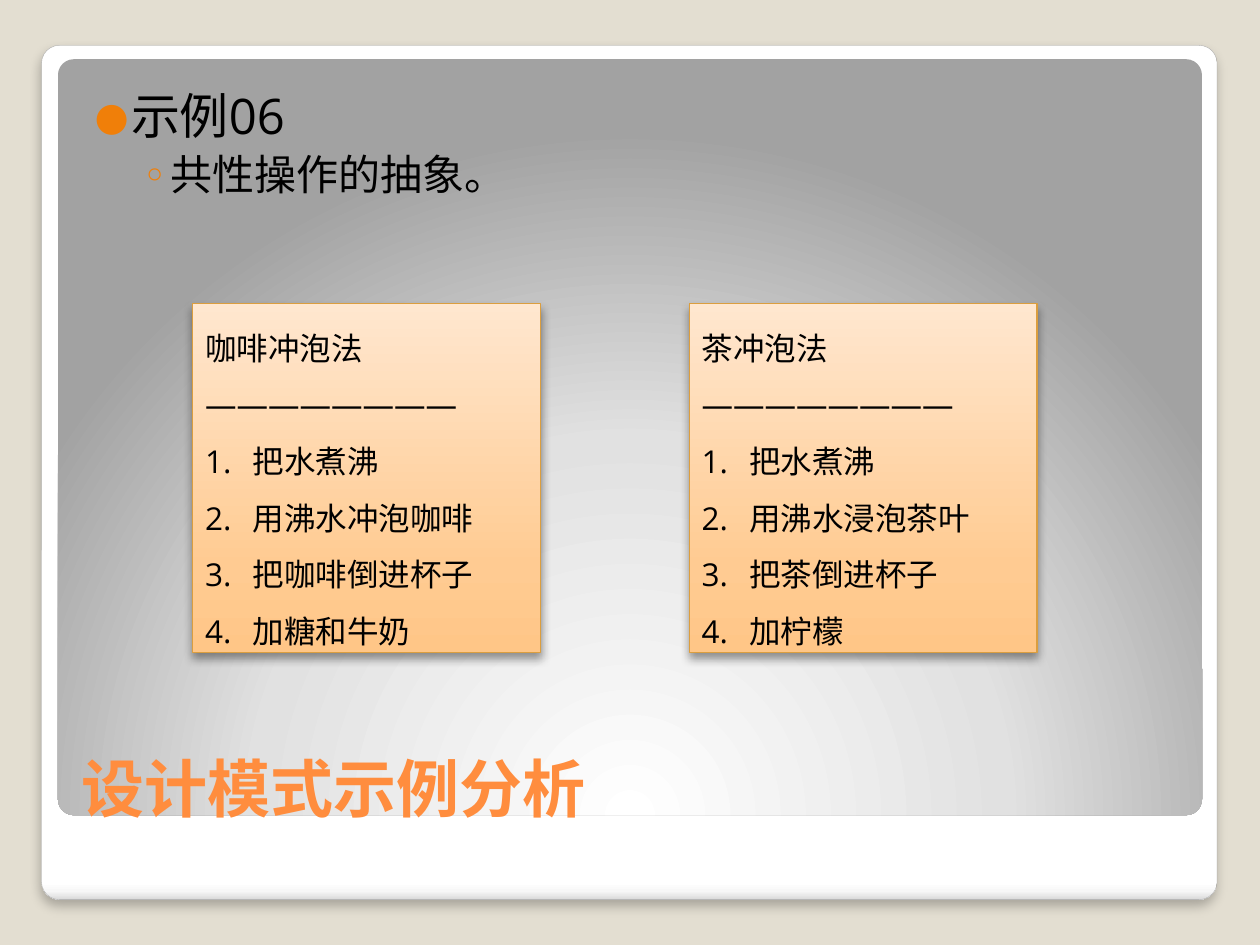
from lxml import etree
from pptx import Presentation
from pptx.dml.color import RGBColor
from pptx.enum import shapes, text
from pptx.oxml.ns import nsdecls, qn
from pptx.util import Inches, Pt

BACKGROUND = RGBColor(0xE3, 0xDE, 0xD1)
BLACK = RGBColor(0, 0, 0)
TITLE = RGBColor(0xFF, 0x8D, 0x3E)
BULLET = RGBColor(0xF0, 0x7F, 0x09)
FRAME_LINE = RGBColor(0xA4, 0xA4, 0xA4)
CARD_LINE = RGBColor(0xDB, 0x9E, 0x3F)
FRAME_STOPS = [(0, "FFFFFF"), (98, "FFFFFF"), (99, "F7F7F7"), (100, "DADADA")]
PANEL_STOPS = [(0, "FFFFFF"), (55, "E1E1E1"), (100, "A2A2A2")]
CARD_STOPS = [(0, "FFC687"), (25, "FFCB92"), (100, "FFE7CF")]
DOWN = '<a:lin ang="5400000" scaled="0"/>'
UP = '<a:lin ang="16200000" scaled="0"/>'
RADIAL = ('<a:path path="circle"><a:fillToRect l="50000" t="175000" '
          'r="50000" b="-75000"/></a:path>')


def add_xml(parent, tag, child="", **attrs):
    values = " ".join(f'{k}="{v}"' for k, v in attrs.items())
    node = etree.fromstring(f'<a:{tag} {nsdecls("a")} {values}>{child}</a:{tag}>')
    parent.append(node)
    return node


class Deck:
    font = "Open Sans"

    def __init__(self, width, height):
        self.prs = Presentation()
        self.prs.slide_width, self.prs.slide_height = Inches(width), Inches(height)

    def slide(self, color):
        self.s = self.prs.slides.add_slide(self.prs.slide_layouts[6])
        self.s.background.fill.solid()
        self.s.background.fill.fore_color.rgb = color

    def shape(self, kind, box, stops, direction, line=None, shadow=None, corner=None):
        sp = self.s.shapes.add_shape(kind, *map(Inches, box))
        if corner is not None:
            sp.adjustments[0] = corner
        if line:
            sp.line.color.rgb, sp.line.width = line[0], Pt(line[1])
        else:
            sp.line.fill.background()
        sp.shadow.inherit = False
        spPr = sp._element.spPr
        if shadow:
            alpha, blur, dist = shadow
            add_xml(spPr.find(qn("a:effectLst")), "outerShdw",
                    f'<a:srgbClr val="000000"><a:alpha val="{alpha * 1000}"/></a:srgbClr>',
                    blurRad=Pt(blur), dist=Pt(dist), dir=5400000, rotWithShape=0)
        gs = "".join(f'<a:gs pos="{pos * 1000}"><a:srgbClr val="{color}"/></a:gs>'
                     for pos, color in stops)
        grad = add_xml(spPr, "gradFill", f"<a:gsLst>{gs}</a:gsLst>{direction}", rotWithShape=1)
        spPr.find(qn("a:prstGeom")).addnext(grad)
        return sp

    def textbox(self, box, **frame):
        sp = self.s.shapes.add_textbox(*map(Inches, box))
        return self.frame(sp, **frame)

    def frame(self, sp, **values):
        tf = sp.text_frame
        for name, value in {"word_wrap": True, **values}.items():
            setattr(tf, name, value)
        return tf

    def paragraph(self, tf, words, size, color=BLACK, bold=False, indent=None,
                  bullet=None, bullet_size=100, **spacing):
        p = tf.paragraphs[0]
        if p.runs:
            p = tf.add_paragraph()
        for name, value in {"alignment": text.PP_ALIGN.LEFT, **spacing}.items():
            setattr(p, name, value)
        pPr = p._p.get_or_add_pPr()
        if indent:
            pPr.set("marL", str(Inches(indent[0])))
            pPr.set("indent", str(Inches(indent[1])))
        if bullet == "number":
            add_xml(pPr, "buAutoNum", type="arabicPeriod")
        elif bullet:
            add_xml(pPr, "buClr", f'<a:srgbClr val="{BULLET}"/>')
            add_xml(pPr, "buSzPct", val=bullet_size * 1000)
            add_xml(pPr, "buFont", typeface=self.font)
            add_xml(pPr, "buChar", char=bullet)
        r = p.add_run()
        r.text = words
        for name, value in {"name": self.font, "size": Pt(size), "bold": bold}.items():
            setattr(r.font, name, value)
        r.font.color.rgb = color
        add_xml(r._r.get_or_add_rPr(), "ea", typeface=self.font)

    def recipe(self, left, name, steps):
        sp = self.shape(shapes.MSO_SHAPE.RECTANGLE, (left, 2.41, 2.76, 2.77), CARD_STOPS, UP,
                        line=(CARD_LINE, 0.75), shadow=(40, 5.2, 3))
        tf = self.frame(sp, vertical_anchor=text.MSO_ANCHOR.TOP,
                        auto_size=text.MSO_AUTO_SIZE.SHAPE_TO_FIT_TEXT)
        for words in (name, "—" * 8):
            self.paragraph(tf, words, 18, line_spacing=1.5)
        for words in steps:
            self.paragraph(tf, words, 18, indent=(0.38, -0.38), bullet="number",
                           line_spacing=1.5)


deck = Deck(10, 7.5)
deck.slide(BACKGROUND)
rounded = shapes.MSO_SHAPE.ROUNDED_RECTANGLE
deck.shape(rounded, (0.33, 0.36, 9.33, 6.78), FRAME_STOPS, DOWN,
           line=(FRAME_LINE, 0.16), shadow=(25, 6, 4), corner=0.021)
deck.shape(rounded, (0.46, 0.47, 9.08, 6), PANEL_STOPS, RADIAL, corner=0.021)

title = deck.textbox((0.55, 5.45, 8.95, 1.15), vertical_anchor=text.MSO_ANCHOR.BOTTOM)
deck.paragraph(title, "设计模式示例分析", 36, TITLE, bold=True)

body = deck.textbox((0.55, 0.58, 8.95, 1.28), margin_left=Inches(0.2), margin_top=Inches(0.1))
deck.paragraph(body, "示例06", 28, indent=(0.29, -0.29), bullet="●", bullet_size=80,
               space_before=Pt(2.5))
deck.paragraph(body, "共性操作的抽象。", 24, indent=(0.6, -0.22), bullet="◦", level=1,
               space_before=Pt(2.5))

deck.recipe(1.53, "咖啡冲泡法", ["把水煮沸", "用沸水冲泡咖啡", "把咖啡倒进杯子", "加糖和牛奶"])
deck.recipe(5.47, "茶冲泡法", ["把水煮沸", "用沸水浸泡茶叶", "把茶倒进杯子", "加柠檬"])

deck.prs.save("out.pptx")
